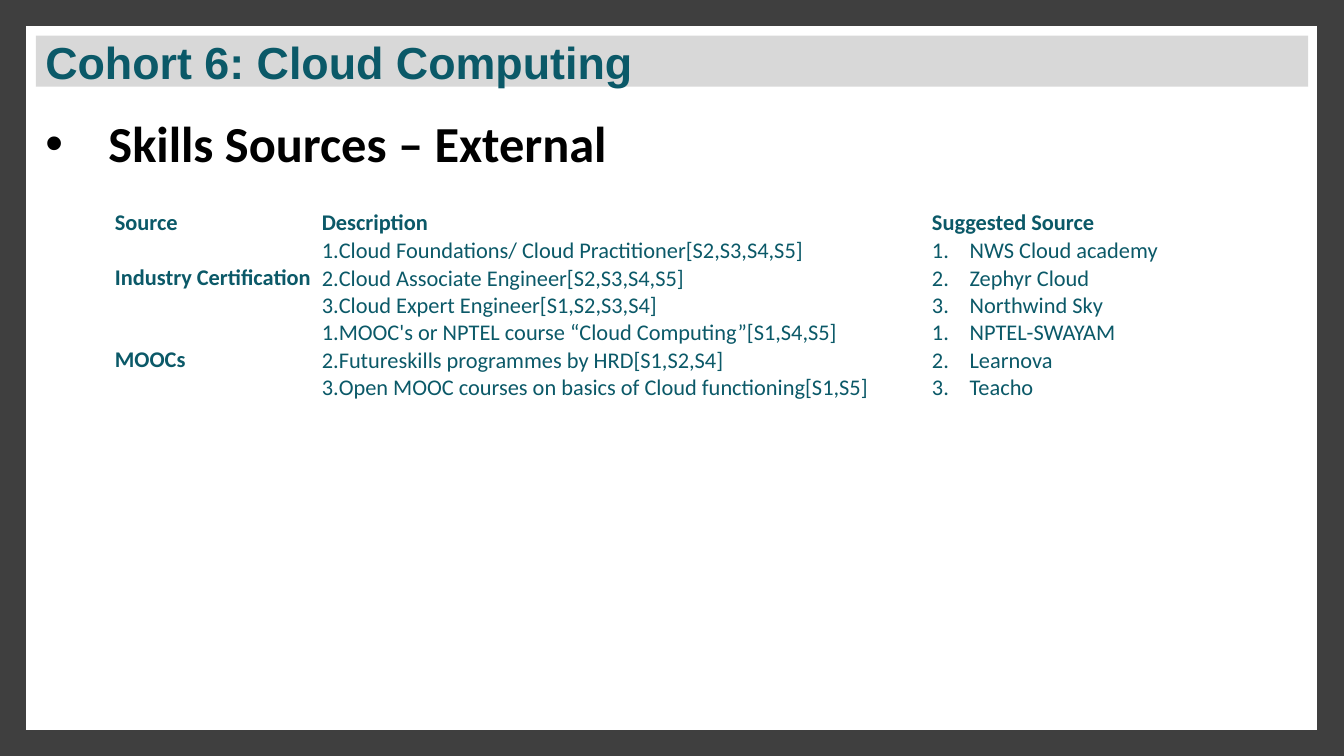
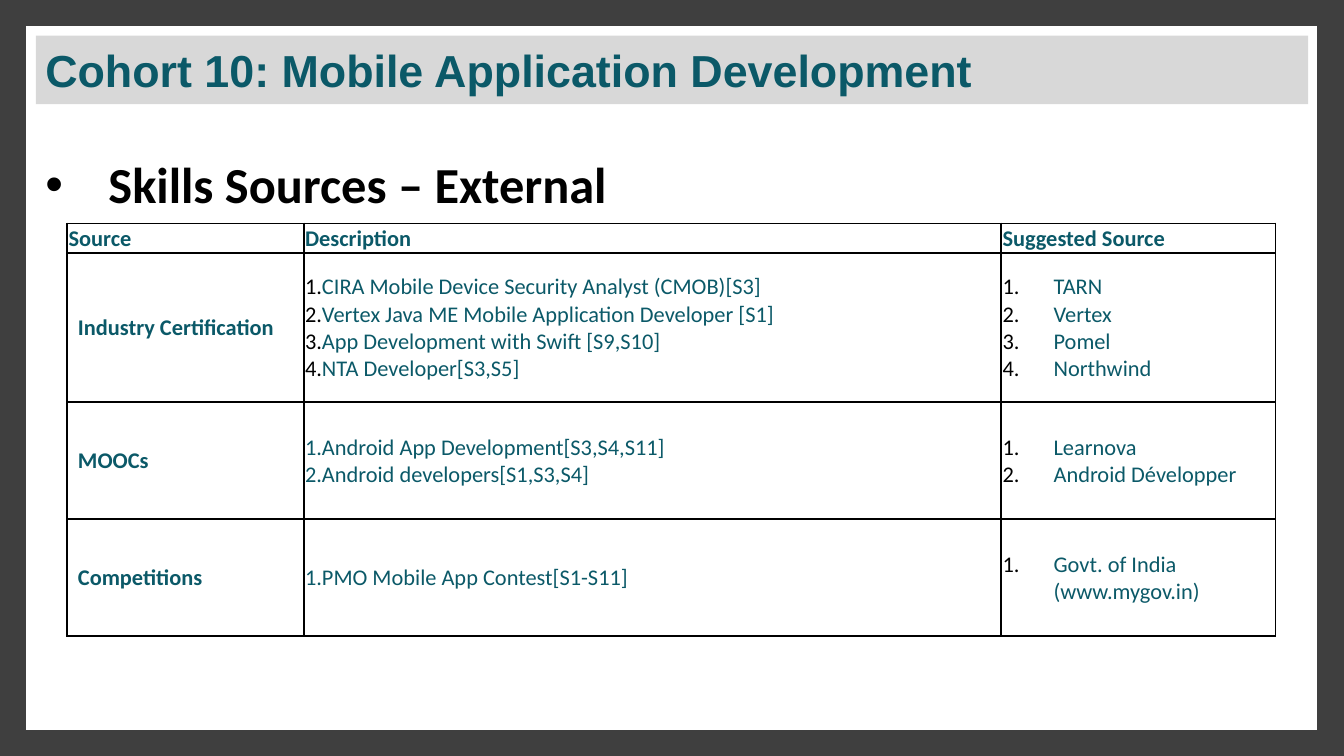
"""Build two cohort slides that list external skill sources."""
from dataclasses import dataclass

from lxml import etree
from pptx import Presentation
from pptx.dml.color import RGBColor
from pptx.enum.shapes import MSO_SHAPE
from pptx.enum.text import MSO_ANCHOR, MSO_AUTO_SIZE, PP_ALIGN
from pptx.oxml.ns import qn
from pptx.util import Inches, Pt

RECTANGLE = MSO_SHAPE.RECTANGLE
MIDDLE = MSO_ANCHOR.MIDDLE
NO_AUTOFIT = MSO_AUTO_SIZE.NONE
LEFT = PP_ALIGN.LEFT

WIDTH = Inches(10)
HEIGHT = WIDTH * 9 // 16
TEAL, BLACK, WHITE = "0B5968", "000000", "FFFFFF"
BACKDROP, FRAME, BAND = "0C0C0C", "3F3F3F", "D8D8D8"
HEADINGS = ("Source", "Description", "Suggested Source")
SUBTITLE = "Skills Sources – External"


@dataclass(frozen=True)
class Box:
    """Position and size as percentages of the slide."""
    left: float
    top: float
    width: float
    height: float

    def place(self) -> tuple[int, int, int, int]:
        """Return left, top, width and height as lengths."""
        return across(self.left), down(self.top), across(self.width), down(self.height)


@dataclass(frozen=True)
class SourceRow:
    """One kind of source with its numbered descriptions and providers."""
    name: str
    descriptions: tuple[str, ...]
    providers: tuple[str, ...]
    height: float
    description_number: str = TEAL
    provider_number: str = TEAL


@dataclass(frozen=True)
class Cohort:
    """Content and measures of one cohort slide."""
    title: str
    title_height: float
    subtitle_top: float
    table_left: float
    table_top: float
    columns: tuple[float, ...]
    header_height: float
    description_hang: float
    provider_hang: float
    rows: tuple[SourceRow, ...]
    name_margin: float = 0.01
    ruled: bool = False


FULL = Box(0, 0, 100, 100)
PANEL = Box(2.67, 4.7, 94.67, 90.6)

COHORTS = (
    Cohort(
        "Cohort 6: Cloud Computing", 6.76, 16, 8.45, 27.5,
        (15.4, 45.4, 22.8), 3.2, 0.08, 0.28,
        (
            SourceRow(
                "Industry Certification",
                ("Cloud Foundations/ Cloud Practitioner[S2,S3,S4,S5]",
                 "Cloud Associate Engineer[S2,S3,S4,S5]",
                 "Cloud Expert Engineer[S1,S2,S3,S4]"),
                ("NWS Cloud academy", "Zephyr Cloud", "Northwind Sky"), 9.42),
            SourceRow(
                "MOOCs",
                ("MOOC's or NPTEL course “Cloud Computing”[S1,S4,S5]",
                 "Futureskills programmes by HRD[S1,S2,S4]",
                 "Open MOOC courses on basics of Cloud functioning[S1,S5]"),
                ("NPTEL-SWAYAM", "Learnova", "Teacho"), 10.13),
        ),
    ),
    Cohort(
        "Cohort 10: Mobile Application Development", 9.07, 21.35, 5, 29.54,
        (17.6, 51.9, 20.4), 3.91, 0.38, 0.38,
        (
            SourceRow(
                "Industry Certification",
                ("CIRA Mobile Device Security Analyst (CMOB)[S3]",
                 "Vertex Java ME Mobile Application Developer [S1]",
                 "App Development with Swift [S9,S10]",
                 "NTA Developer[S3,S5]"),
                ("TARN", "Vertex", "Pomel", "Northwind"), 19.75, BLACK, BLACK),
            SourceRow(
                "MOOCs",
                ("Android App Development[S3,S4,S11]",
                 "Android developers[S1,S3,S4]"),
                ("Learnova", "Android Développer"), 15.48, TEAL, BLACK),
            SourceRow(
                "Competitions", ("PMO Mobile App Contest[S1-S11]",),
                ("Govt. of India (www.mygov.in)",), 15.48, TEAL, BLACK),
        ),
        name_margin=0.08, ruled=True,
    ),
)


def across(share: float) -> int:
    """Turn a percentage of the slide width into a length."""
    return round(WIDTH * share / 100)


def down(share: float) -> int:
    """Turn a percentage of the slide height into a length."""
    return round(HEIGHT * share / 100)


def color(value: str) -> RGBColor:
    """Return the colour of a hex string."""
    return RGBColor.from_string(value)


def set_font(paragraph, size: float, name: str, value: str, bold: bool) -> None:
    """Format the whole paragraph."""
    font = paragraph.font
    font.size, font.name, font.bold = Pt(size), name, bold
    font.color.rgb = color(value)


def set_margins(target, left: float, top: float, right: float, bottom: float) -> None:
    """Set the inner margins, in inches, of a text frame or cell."""
    target.margin_left, target.margin_top = Inches(left), Inches(top)
    target.margin_right, target.margin_bottom = Inches(right), Inches(bottom)


def add_bullet(paragraph, value: str, left: float, hang: float, character: str = "") -> None:
    """Give a paragraph a bullet character, or a number if none is given."""
    properties = paragraph._p.get_or_add_pPr()
    properties.set("marL", str(Inches(left)))
    properties.set("indent", str(-Inches(hang)))
    bullet_color = etree.SubElement(properties, qn("a:buClr"))
    etree.SubElement(bullet_color, qn("a:srgbClr"), val=value)
    if character:
        etree.SubElement(properties, qn("a:buFont"), typeface="Arial")
        etree.SubElement(properties, qn("a:buChar"), char=character)
    else:
        etree.SubElement(properties, qn("a:buFont"), typeface="+mj-lt")
        etree.SubElement(properties, qn("a:buAutoNum"), type="arabicPeriod")


def add_panel(slide, box: Box, value: str, line_width: float = 0) -> None:
    """Draw a plain rectangle with an optional square-cornered outline."""
    shape = slide.shapes.add_shape(RECTANGLE, *box.place())
    shape.shadow.inherit = False
    shape.fill.solid()
    shape.fill.fore_color.rgb = color(value)
    if line_width:
        shape.line.color.rgb = color(value)
        shape.line.width = Pt(line_width)
        outline = shape.element.spPr.find(qn("a:ln"))
        etree.SubElement(outline, qn("a:miter"), lim="800000")
    else:
        shape.line.fill.background()


def add_title(slide, text: str, height: float) -> None:
    """Place and format the title on its grey band."""
    title = slide.shapes.title
    title.element.getparent().append(title.element)
    box = Box(PANEL.left, PANEL.top, PANEL.width, height)
    title.left, title.top, title.width, title.height = box.place()
    title.fill.solid()
    title.fill.fore_color.rgb = color(BAND)
    frame = title.text_frame
    frame.text = text
    frame.word_wrap, frame.auto_size = True, NO_AUTOFIT
    frame.vertical_anchor = MIDDLE
    set_margins(frame, 0.07, 0.09, 0.07, 0.09)
    paragraph = frame.paragraphs[0]
    paragraph.alignment = LEFT
    set_font(paragraph, 24, "Arial", TEAL, True)


def add_subtitle(slide, top: float) -> None:
    """Add the bulleted heading above the table."""
    box = Box(PANEL.left, top, 86.2, 6.76)
    frame = slide.shapes.add_textbox(*box.place()).text_frame
    frame.text = SUBTITLE
    frame.word_wrap = True
    frame.vertical_anchor = MIDDLE
    set_margins(frame, 0.07, 0.04, 0.07, 0.04)
    paragraph = frame.paragraphs[0]
    add_bullet(paragraph, BLACK, 0.47, 0.47, "•")
    paragraph.line_spacing = 0.9
    set_font(paragraph, 27, "Calibri", BLACK, True)


def style_cell(cell, ruled: bool, left_margin: float = 0.01) -> None:
    """Set the borders, fill, margins and anchor of a cell."""
    properties = cell._tc.get_or_add_tcPr()
    for side in ("lnL", "lnR", "lnT", "lnB"):
        line = etree.SubElement(properties, qn(f"a:{side}"), w=str(Pt(1)))
        if ruled:
            fill = etree.SubElement(line, qn("a:solidFill"))
            etree.SubElement(fill, qn("a:srgbClr"), val=BLACK)
        else:
            etree.SubElement(line, qn("a:noFill"))
    if ruled:
        cell.fill.solid()
        cell.fill.fore_color.rgb = color(WHITE)
    else:
        cell.fill.background()
    set_margins(cell, left_margin, 0.01, 0.01, 0)
    cell.vertical_anchor = MIDDLE


def write_label(cell, text: str) -> None:
    """Write a bold heading in a cell."""
    cell.text = text
    set_font(cell.text_frame.paragraphs[0], 12, "Calibri", TEAL, True)


def write_list(cell, items: tuple[str, ...], value: str, left: float, hang: float) -> None:
    """Write a numbered list in a cell."""
    cell.text = "\n".join(items)
    for paragraph in cell.text_frame.paragraphs:
        add_bullet(paragraph, value, left, hang)
        set_font(paragraph, 12, "Calibri", TEAL, False)


def add_source_table(slide, cohort: Cohort) -> None:
    """Add the table of sources, descriptions and providers."""
    heights = (cohort.header_height, *(row.height for row in cohort.rows))
    box = Box(cohort.table_left, cohort.table_top, sum(cohort.columns), sum(heights))
    table = slide.shapes.add_table(len(heights), len(HEADINGS), *box.place()).table
    table.first_row = table.horz_banding = False
    for column, width in zip(table.columns, cohort.columns):
        column.width = across(width)
    for table_row, height in zip(table.rows, heights):
        table_row.height = down(height)
    for cell, heading in zip(table.rows[0].cells, HEADINGS):
        style_cell(cell, cohort.ruled)
        write_label(cell, heading)
    for index, row in enumerate(cohort.rows, start=1):
        name, description, provider = table.rows[index].cells
        style_cell(name, cohort.ruled, cohort.name_margin)
        style_cell(description, cohort.ruled)
        style_cell(provider, cohort.ruled)
        write_label(name, row.name)
        write_list(description, row.descriptions, row.description_number,
                   0, cohort.description_hang)
        write_list(provider, row.providers, row.provider_number,
                   cohort.provider_hang, cohort.provider_hang)


def add_cohort_slide(presentation, cohort: Cohort) -> None:
    """Build one framed cohort slide."""
    slide = presentation.slides.add_slide(presentation.slide_layouts[5])
    slide.background.fill.solid()
    slide.background.fill.fore_color.rgb = color(BACKDROP)
    add_panel(slide, FULL, FRAME)
    add_panel(slide, PANEL, WHITE, 10)
    add_title(slide, cohort.title, cohort.title_height)
    add_subtitle(slide, cohort.subtitle_top)
    add_source_table(slide, cohort)


def main() -> None:
    """Build and save the presentation."""
    presentation = Presentation()
    presentation.slide_width, presentation.slide_height = WIDTH, HEIGHT
    for cohort in COHORTS:
        add_cohort_slide(presentation, cohort)
    presentation.save("out.pptx")


if __name__ == "__main__":
    main()
